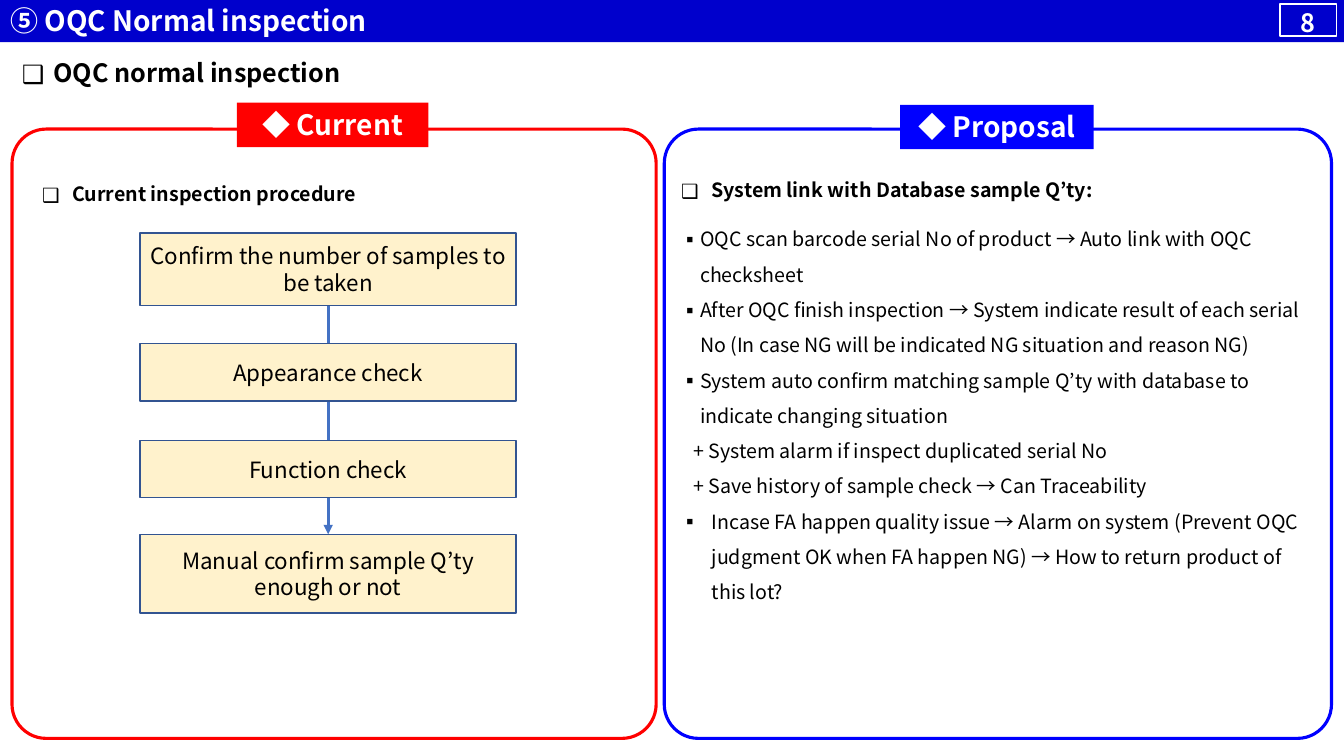
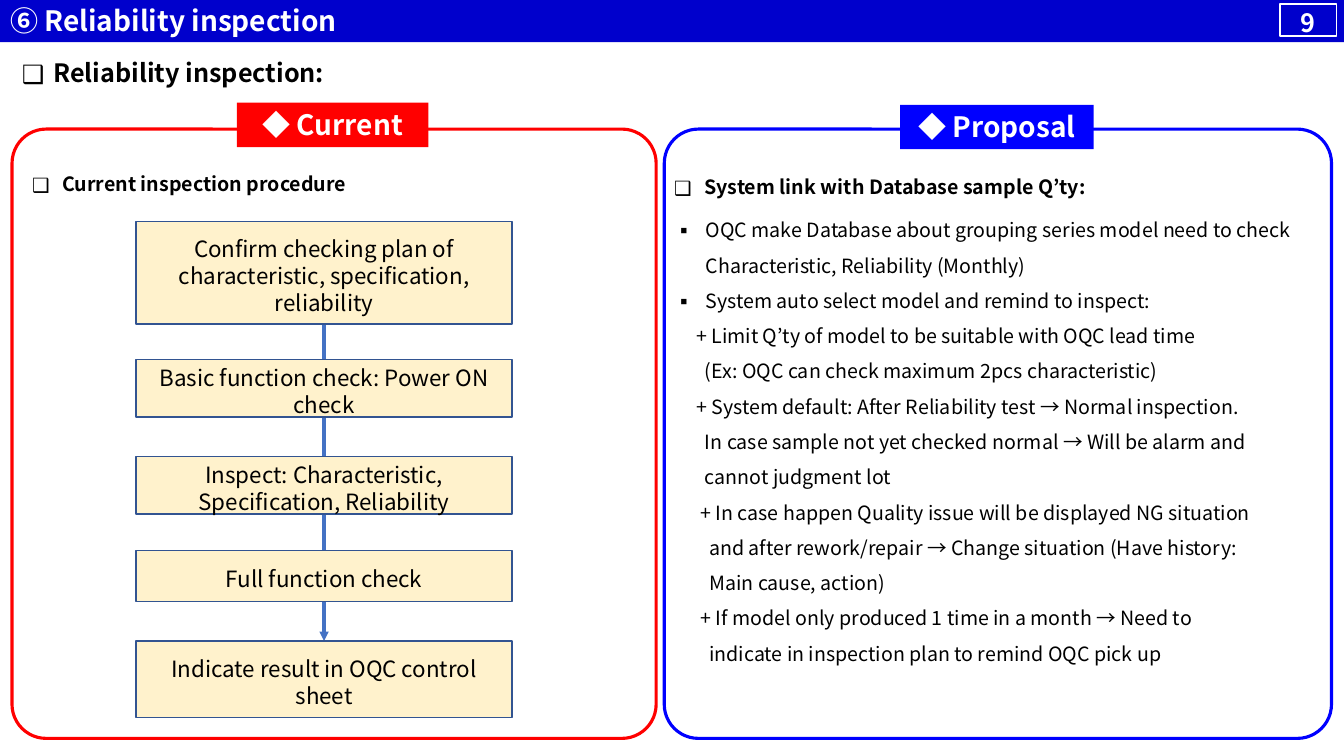
import dataclasses
import typing

import lxml.etree
import pptx
import pptx.dml.color
import pptx.enum.shapes
import pptx.enum.text
import pptx.oxml.ns
import pptx.presentation
import pptx.shapes.autoshape
import pptx.slide
import pptx.text.text
import pptx.util

Pt = pptx.util.Pt
qn = pptx.oxml.ns.qn
Align = pptx.enum.text.PP_ALIGN
Anchor = pptx.enum.text.MSO_ANCHOR
AutoSize = pptx.enum.text.MSO_AUTO_SIZE
Preset = pptx.enum.shapes.MSO_SHAPE


@dataclasses.dataclass(frozen=True)
class Theme:
    font: str = "Noto Sans CJK JP"
    band: str = "0000CC"
    proposal: str = "0000FF"
    current: str = "FF0000"
    step: str = "FFF2CC"
    step_edge: str = "325491"
    arrow: str = "4472C4"
    ink: str = "000000"
    white: str = "FFFFFF"
    title_size: float = 20
    heading_size: float = 18
    step_size: float = 16
    body_size: float = 14
    thin: float = 1
    thick: float = 2.25


THEME = Theme()


class Area(typing.NamedTuple):
    left: float
    top: float
    width: float
    height: float

    def points(self) -> list[pptx.util.Length]:
        return [Pt(value) for value in self]


class Style(typing.NamedTuple):
    size: float
    colour: str = THEME.ink
    bold: bool = False
    align: Align = Align.LEFT


class Line(typing.NamedTuple):
    text: str
    margin: float = 0
    bullet: str = ""
    spacing: float | None = None


class Step(typing.NamedTuple):
    text: str
    top: float
    height: float


class Panel(typing.NamedTuple):
    label: str
    colour: str
    frame: Area
    badge: Area


@dataclasses.dataclass(frozen=True)
class Inspection:
    title: str
    number: str
    heading: str
    current_label: tuple[float, float]
    proposal_label: tuple[float, float]
    steps_left: float
    step_inset: float
    steps: list[Step]
    proposal_area: Area
    proposal_lines: list[Line]


TITLE_STYLE = Style(THEME.title_size, THEME.white, True)
BADGE_STYLE = TITLE_STYLE._replace(align=Align.CENTER)
NUMBER_STYLE = Style(THEME.heading_size, THEME.white, True, Align.CENTER)
HEADING_STYLE = Style(THEME.heading_size, bold=True)
LABEL_STYLE = Style(THEME.body_size, bold=True)
BODY_STYLE = Style(THEME.body_size)
STEP_STYLE = Style(THEME.step_size, align=Align.CENTER)

BAND = Area(0, -1.5, 960, 31.7)
NUMBER_BOX = Area(914.4, 2.9, 40.3, 23)
HEADING = Area(8.6, 37.4, 942.5, 28.8)
LABEL_WIDTH, LABEL_HEIGHT = 445.7, 24.5
STEP_WIDTH = 268.6
PANELS = [
    Panel("◆ Proposal", THEME.proposal, Area(474.5, 92.2, 476.6, 435.2), Area(643, 74.9, 138.2, 31.7)),
    Panel("◆ Current", THEME.current, Area(8.6, 92.2, 460.1, 435.2), Area(169.2, 73.4, 136.8, 31.7)),
]


def rgb(colour: str) -> pptx.dml.color.RGBColor:
    return pptx.dml.color.RGBColor.from_string(colour)


def body(text: str, margin: float, bullet: str = "") -> Line:
    return Line(text, margin, bullet, 1.5)


def write(frame: pptx.text.text.TextFrame, lines: list[Line], style: Style) -> None:
    frame.word_wrap = True
    for index, line in enumerate(lines):
        para = frame.paragraphs[0] if index == 0 else frame.add_paragraph()
        para.alignment = style.align
        properties = para._p.get_or_add_pPr()
        if line.margin:
            properties.set("marL", str(Pt(line.margin)))
            properties.set("indent", str(Pt(-line.margin) if line.bullet else 0))
        if line.bullet:
            lxml.etree.SubElement(properties, qn("a:buFont")).set("typeface", THEME.font)
            lxml.etree.SubElement(properties, qn("a:buChar")).set("char", line.bullet)
        if line.spacing:
            para.line_spacing = line.spacing
        span = para.add_run()
        span.text = line.text
        span.font.name = THEME.font
        span.font.size = Pt(style.size)
        span.font.bold = style.bold
        span.font.color.rgb = rgb(style.colour)
        east_asian = lxml.etree.SubElement(span._r.get_or_add_rPr(), qn("a:ea"))
        east_asian.set("typeface", THEME.font)


def add_box(
    page: pptx.slide.Slide,
    area: Area,
    fill: str | None = None,
    edge: str | None = None,
    edge_width: float = THEME.thin,
    preset: Preset = Preset.RECTANGLE,
) -> pptx.shapes.autoshape.Shape:
    box = page.shapes.add_shape(preset, *area.points())
    box.shadow.inherit = False
    if fill:
        box.fill.solid()
        box.fill.fore_color.rgb = rgb(fill)
    else:
        box.fill.background()
    if edge:
        box.line.color.rgb = rgb(edge)
        box.line.width = Pt(edge_width)
    else:
        box.line.fill.background()
    return box


def add_text(page: pptx.slide.Slide, area: Area, lines: list[Line], style: Style) -> None:
    frame = page.shapes.add_textbox(*area.points()).text_frame
    write(frame, lines, style)
    frame.auto_size = AutoSize.SHAPE_TO_FIT_TEXT


def add_label(page: pptx.slide.Slide, corner: tuple[float, float], text: str) -> None:
    add_text(page, Area(*corner, LABEL_WIDTH, LABEL_HEIGHT), [Line(text, 21.5, "❑")], LABEL_STYLE)


def add_title(page: pptx.slide.Slide, text: str) -> None:
    title = page.shapes.title
    title.left, title.top, title.width, title.height = BAND.points()
    title.fill.solid()
    title.fill.fore_color.rgb = rgb(THEME.band)
    title.text_frame.vertical_anchor = Anchor.MIDDLE
    title.text_frame.auto_size = AutoSize.NONE
    write(title.text_frame, [Line(text)], TITLE_STYLE)


def add_panel(page: pptx.slide.Slide, panel: Panel) -> None:
    frame = add_box(page, panel.frame, None, panel.colour, THEME.thick, Preset.ROUNDED_RECTANGLE)
    frame.adjustments[0] = 0.056
    badge = add_box(page, panel.badge, panel.colour)
    badge.text_frame.vertical_anchor = Anchor.TOP
    write(badge.text_frame, [Line(panel.label)], BADGE_STYLE)


def add_flow(page: pptx.slide.Slide, left: float, inset: float, steps: list[Step]) -> None:
    centre = Pt(left + STEP_WIDTH / 2)
    arrow = page.shapes.add_connector(
        pptx.enum.shapes.MSO_CONNECTOR.STRAIGHT,
        centre, Pt(steps[0].top + steps[0].height), centre, Pt(steps[-1].top),
    )
    arrow.line.color.rgb = rgb(THEME.arrow)
    arrow.line.width = Pt(THEME.thick)
    properties = arrow._element.spPr
    lxml.etree.SubElement(properties.find(qn("a:ln")), qn("a:tailEnd")).set("type", "triangle")
    lxml.etree.SubElement(properties, qn("a:effectLst"))
    for step in steps:
        box = add_box(page, Area(left, step.top, STEP_WIDTH, step.height), THEME.step, THEME.step_edge)
        box.text_frame.vertical_anchor = Anchor.MIDDLE
        box.text_frame.margin_bottom = Pt(inset)
        write(box.text_frame, [Line(step.text)], STEP_STYLE)


def add_number(page: pptx.slide.Slide, number: str) -> None:
    box = add_box(page, NUMBER_BOX, None, THEME.white)
    box.text_frame.vertical_anchor = Anchor.MIDDLE
    box.text_frame.margin_bottom = Pt(0)
    write(box.text_frame, [Line(number)], NUMBER_STYLE)


def add_inspection(deck: pptx.presentation.Presentation, content: Inspection) -> None:
    page = deck.slides.add_slide(deck.slide_layouts.get_by_name("Title Only"))
    add_title(page, content.title)
    for panel in PANELS:
        add_panel(page, panel)
    add_text(page, HEADING, [Line(content.heading, 22.5, "❑")], HEADING_STYLE)
    add_text(page, content.proposal_area, content.proposal_lines, BODY_STYLE)
    add_label(page, content.proposal_label, "System link with Database sample Q’ty:")
    add_flow(page, content.steps_left, content.step_inset, content.steps)
    add_label(page, content.current_label, "Current inspection procedure")
    add_number(page, content.number)


INSPECTIONS = [
    Inspection(
        title="⑤ OQC Normal inspection",
        number="8",
        heading="OQC normal inspection",
        current_label=(23, 126.7),
        proposal_label=(479.5, 123.8),
        steps_left=100.1,
        step_inset=3.6,
        steps=[
            Step("Confirm the number of samples to be taken", 166.3, 51.8),
            Step("Appearance check", 245.5, 41),
            Step("Function check", 314.6, 41),
            Step("Manual confirm sample Q’ty enough or not", 381.6, 56.2),
        ],
        proposal_area=Area(478.8, 150.5, 470.2, 310.3),
        proposal_lines=[
            body("OQC scan barcode serial No of product → Auto link with OQC checksheet", 14.2, "▪"),
            body("After OQC finish inspection → System indicate result of each serial No "
                 "(In case NG will be indicated NG situation and reason NG)", 14.2, "▪"),
            body("System auto confirm matching sample Q’ty with database to indicate changing situation", 14.2, "▪"),
            body("+ System alarm if inspect duplicated serial No", 9.4),
            body("+ Save history of sample check → Can Traceability", 9.4),
            body("Incase FA happen quality issue → Alarm on system (Prevent OQC judgment OK "
                 "when FA happen NG) → How to return product of this lot?", 22.5, "▪"),
        ],
    ),
    Inspection(
        title="⑥ Reliability inspection",
        number="9",
        heading="Reliability inspection:",
        current_label=(15.8, 119.5),
        proposal_label=(474.5, 121.7),
        steps_left=97.2,
        step_inset=0,
        steps=[
            Step("Confirm checking plan of characteristic, specification, reliability", 158.4, 73),
            Step("Basic function check: Power ON check", 257, 41),
            Step("Inspect: Characteristic, Specification, Reliability", 326.2, 41),
            Step("Full function check", 393.1, 36.7),
            Step("Indicate result in OQC control sheet", 457.9, 54.7),
        ],
        proposal_area=Area(474.5, 144, 476.6, 336.2),
        proposal_lines=[
            body("OQC make Database about grouping series model need to check "
                 "Characteristic, Reliability (Monthly)", 22.5, "▪"),
            body("System auto select model and remind to inspect:", 22.5, "▪"),
            body("+ Limit Q’ty of model to be suitable with OQC lead time", 15.7),
            body("(Ex: OQC can check maximum 2pcs characteristic)", 22),
            body("+ System default: After Reliability test → Normal inspection.", 15.7),
            body("In case sample not yet checked normal → Will be alarm and", 22),
            body("cannot judgment lot", 22),
            body("+ In case happen Quality issue will be displayed NG situation", 18.8),
            body("and after rework/repair → Change situation (Have history:", 25.1),
            body("Main cause, action)", 25.1),
            body("+ If model only produced 1 time in a month → Need to", 18.8),
            body("indicate in inspection plan to remind OQC pick up", 25.1),
        ],
    ),
]


def main() -> None:
    deck = pptx.Presentation()
    deck.slide_width, deck.slide_height = Pt(960), Pt(540)
    for content in INSPECTIONS:
        add_inspection(deck, content)
    deck.save("out.pptx")


if __name__ == "__main__":
    main()
